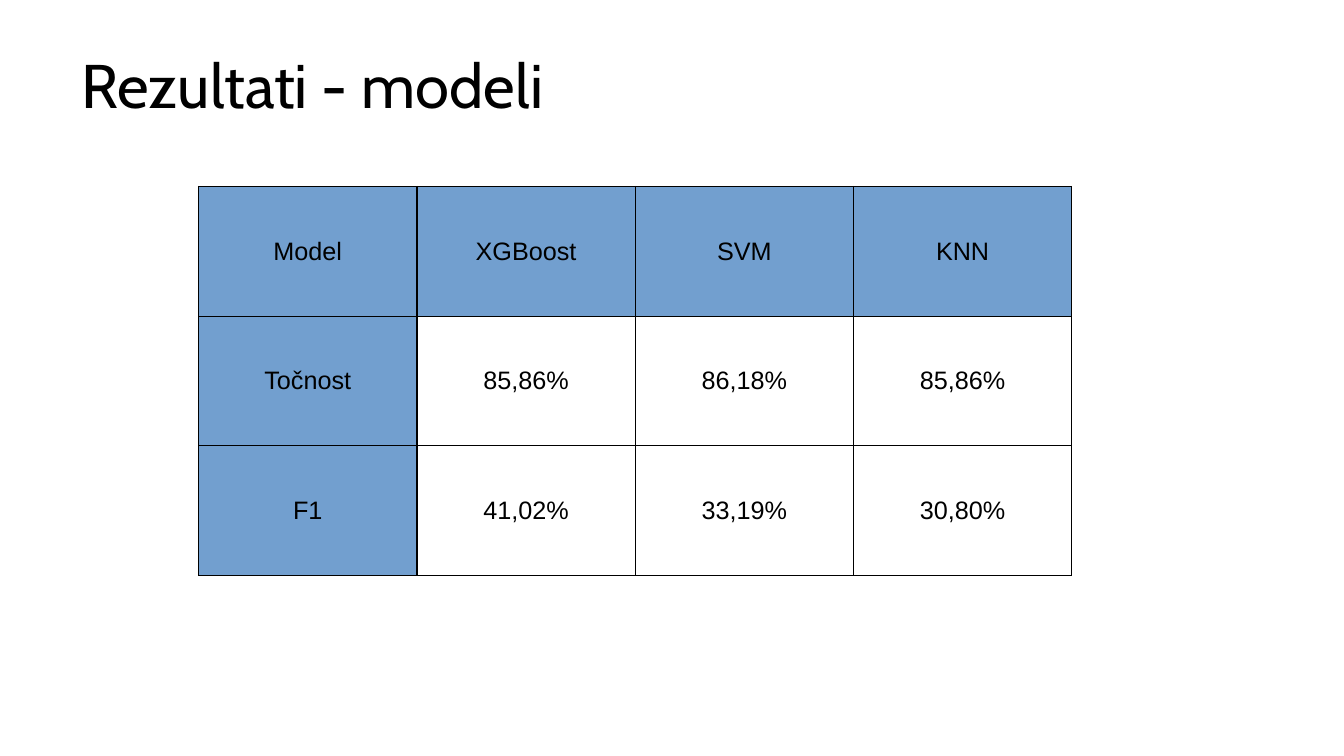
from lxml import etree
from pptx import Presentation
from pptx.dml.color import RGBColor
from pptx.enum.text import MSO_ANCHOR, PP_ALIGN
from pptx.oxml.ns import qn
from pptx.util import Inches, Pt

MIDDLE = MSO_ANCHOR.MIDDLE
CENTER = PP_ALIGN.CENTER

BLACK = "000000"
WHITE = "FFFFFF"
BLUE = "729FCF"
BORDER_WIDTH = Pt(0.96)

RESULTS = [
    ["Model", "XGBoost", "SVM", "KNN"],
    ["Točnost", "85,86%", "86,18%", "85,86%"],
    ["F1", "41,02%", "33,19%", "30,80%"],
]


def color(value):
    return RGBColor.from_string(value)


def style_font(font, name, size):
    font.name = name
    font.size = Pt(size)
    font.color.rgb = color(BLACK)


def add_title(slide, text, left, top, width, height):
    text_box = slide.shapes.add_textbox(
        Inches(left), Inches(top), Inches(width), Inches(height))
    frame = text_box.text_frame
    frame.word_wrap = True
    frame.vertical_anchor = MIDDLE
    paragraph = frame.paragraphs[0]
    paragraph.text = text
    paragraph.line_spacing = 0.9
    style_font(paragraph.font, "Cabin", 44)


def add_borders(cell):
    properties = cell._tc.get_or_add_tcPr()
    for side in ("a:lnL", "a:lnR", "a:lnT", "a:lnB"):
        line = etree.SubElement(properties, qn(side), w=str(BORDER_WIDTH))
        fill = etree.SubElement(line, qn("a:solidFill"))
        etree.SubElement(fill, qn("a:srgbClr"), val=BLACK)


def fill_cell(cell, text, background):
    # Borders must precede the fill in the cell properties
    add_borders(cell)
    cell.fill.solid()
    cell.fill.fore_color.rgb = color(background)
    cell.vertical_anchor = MIDDLE
    paragraph = cell.text_frame.paragraphs[0]
    paragraph.text = text
    paragraph.alignment = CENTER
    style_font(paragraph.font, "Arial", 18)


def add_results_table(slide, rows, left, top, width, height):
    table = slide.shapes.add_table(
        len(rows), len(rows[0]),
        Inches(left), Inches(top), Inches(width), Inches(height)).table
    table.horz_banding = False
    for row_index, row in enumerate(rows):
        for column_index, text in enumerate(row):
            is_header = row_index == 0 or column_index == 0
            fill_cell(table.cell(row_index, column_index), text,
                      BLUE if is_header else WHITE)


def main():
    presentation = Presentation()
    presentation.slide_width = Inches(13.33)
    presentation.slide_height = Inches(7.5)
    slide = presentation.slides.add_slide(presentation.slide_layouts[6])

    # Title
    add_title(slide, "Rezultati - modeli", 0.71, 0.39, 11.5, 0.98)

    # Model comparison
    add_results_table(slide, RESULTS, 1.97, 1.85, 8.66, 3.86)

    presentation.save("out.pptx")


if __name__ == "__main__":
    main()
